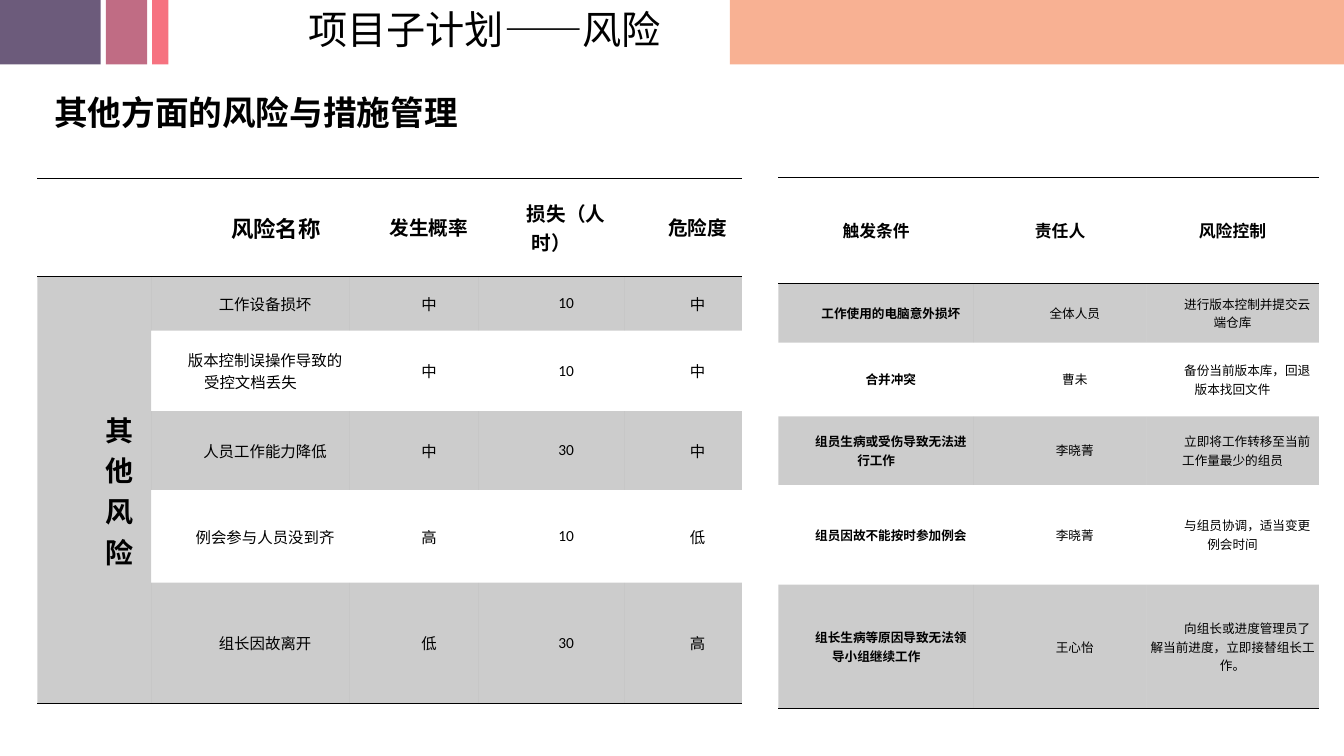
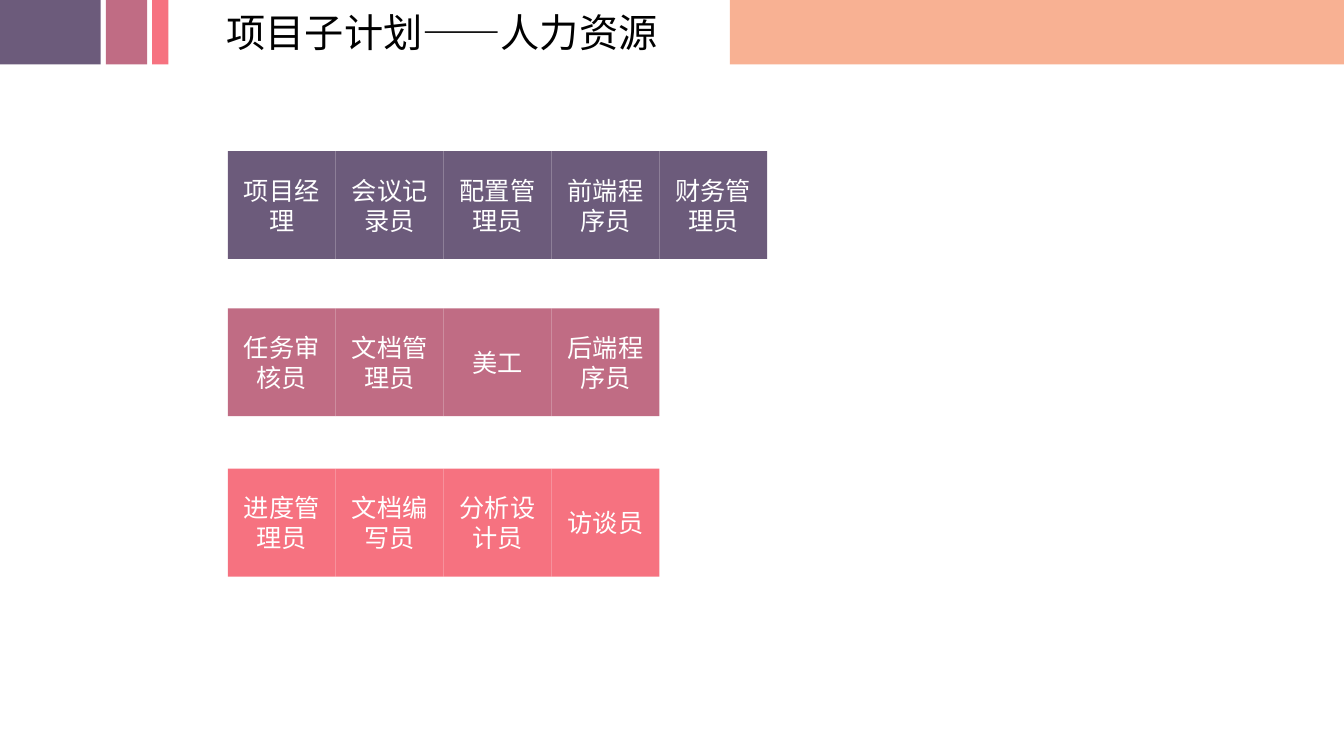
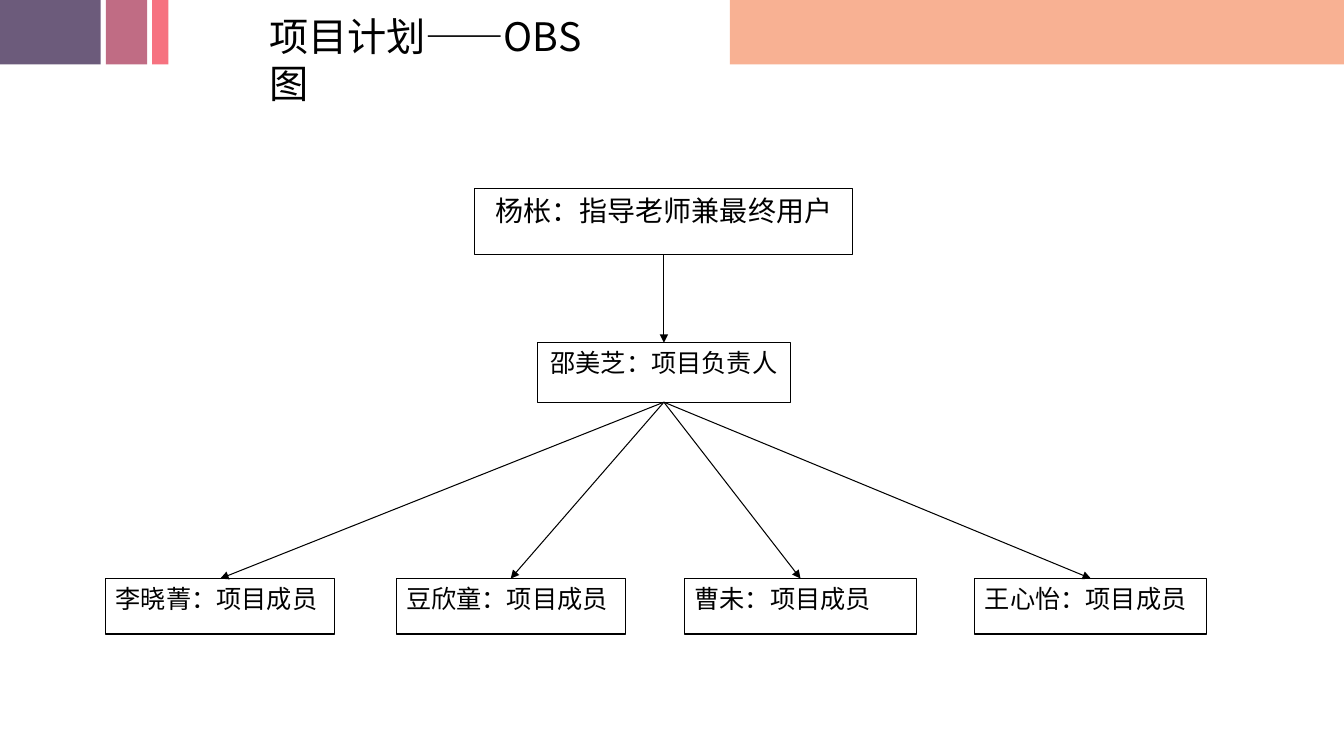
from lxml import etree
from pptx import Presentation
from pptx.dml.color import RGBColor
from pptx.enum.shapes import MSO_CONNECTOR, MSO_SHAPE
from pptx.enum.text import MSO_ANCHOR, PP_ALIGN
from pptx.oxml.ns import qn
from pptx.util import Inches, Pt

RECT = MSO_SHAPE.RECTANGLE
STRAIGHT = MSO_CONNECTOR.STRAIGHT
LEFT, CENTER = PP_ALIGN.LEFT, PP_ALIGN.CENTER
TOP, MIDDLE = MSO_ANCHOR.TOP, MSO_ANCHOR.MIDDLE
CJK, LATIN, SERIF = "Noto Sans CJK SC", "Calibri", "Times New Roman"
BLACK, WHITE = "000000", "FFFFFF"
PURPLE, MAUVE, CORAL, PEACH = "6C5B7B", "C06C84", "F67280", "F8B193"
BANDS = [(7.24, 6.09, PEACH), (0, 1, PURPLE), (1.05, 0.41, MAUVE), (1.51, 0.16, CORAL)]
NO_STYLE = "{2D5ABB26-0587-4C30-8999-92F81FD0307C}"


def rgb(color):
    return RGBColor.from_string(color)


def add_xml(parent, tag, **attrs):
    return etree.SubElement(parent, qn(tag), attrs)


class Deck:
    def __init__(self):
        self.prs = Presentation()
        self.prs.slide_width, self.prs.slide_height = Inches(13.33), Inches(7.5)
        self.s = None

    def slide(self, title, x, y, w, wrap=False):
        self.s = self.prs.slides.add_slide(self.prs.slide_layouts[6])
        for left, width, color in BANDS:
            self.box(left, 0, width, 0.64, color)
        self.text(title, x, y, w, 0.57, 28, wrap=wrap)

    def put(self, tf, text, size, font=CJK, color=BLACK, bold=False, align=LEFT, indent=0):
        for i, line in enumerate(text.split("\n")):
            p = tf.add_paragraph() if i else tf.paragraphs[0]
            p.alignment = align
            if indent:
                pPr = p._p.get_or_add_pPr()
                pPr.set("marL", "0")
                pPr.set("indent", str(Inches(indent)))
            r = p.add_run()
            r.text = line
            r.font.size, r.font.bold, r.font.name = Pt(size), bold, font
            r.font.color.rgb = rgb(color)
            add_xml(r._r.get_or_add_rPr(), "a:ea", typeface=CJK)

    def text(self, text, x, y, w, h, size, bold=False, wrap=True):
        tf = self.s.shapes.add_textbox(Inches(x), Inches(y), Inches(w), Inches(h)).text_frame
        tf.word_wrap = wrap
        self.put(tf, text, size, bold=bold)

    def box(self, x, y, w, h, fill, line=None, anchor=MIDDLE):
        sp = self.s.shapes.add_shape(RECT, Inches(x), Inches(y), Inches(w), Inches(h))
        sp.shadow.inherit = False
        sp.fill.solid()
        sp.fill.fore_color.rgb = rgb(fill)
        if line:
            sp.line.color.rgb = rgb(line)
            sp.line.width = Pt(0.75)
        else:
            sp.line.fill.background()
        sp.text_frame.word_wrap = True
        sp.text_frame.vertical_anchor = anchor
        return sp

    def role(self, text, x, y, side, fill):
        sp = self.box(x, y, side, side, fill)
        self.put(sp.text_frame, text, 18, color=WHITE, align=CENTER)

    def person(self, text, x, y, w, h, size=18, align=CENTER):
        sp = self.box(x, y, w, h, WHITE, BLACK, TOP)
        self.put(sp.text_frame, text, size, SERIF, align=align)
        return sp

    def arrow(self, upper, lower):
        c = self.s.shapes.add_connector(STRAIGHT, 0, 0, 0, 0)
        c.begin_connect(upper, 2)
        c.end_connect(lower, 0)
        c.line.color.rgb = rgb(BLACK)
        c.line.width = Pt(0.75)
        spPr = c._element.spPr
        add_xml(spPr.find(qn("a:ln")), "a:tailEnd", type="triangle")
        add_xml(spPr, "a:effectLst")

    def rule(self, cell, side):
        ln = add_xml(cell._tc.get_or_add_tcPr(), side, w=str(Pt(1)))
        add_xml(add_xml(ln, "a:solidFill"), "a:srgbClr", val=BLACK)

    def table(self, x, y, cols, heights, rows, inset, style, merge_first=False):
        frame = self.s.shapes.add_table(len(rows), len(cols), Inches(x), Inches(y),
                                        Inches(sum(cols)), Inches(sum(heights)))
        t = frame.table
        t.first_row = t.horz_banding = False
        t._tbl.tblPr.find(qn("a:tableStyleId")).text = NO_STYLE
        for col, width in zip(t.columns, cols):
            col.width = Inches(width)
        for row, height in zip(t.rows, heights):
            row.height = Inches(height)
        if merge_first:
            t.cell(1, 0).merge(t.cell(len(rows) - 1, 0))
        for i, row in enumerate(rows):
            for j, text in enumerate(row):
                cell = t.cell(i, j)
                cell.margin_left = cell.margin_right = Inches(inset)
                cell.margin_top = cell.margin_bottom = 0
                cell.vertical_anchor = MIDDLE
                if i == 0:
                    self.rule(cell, "a:lnT")
                if i in (0, len(rows) - 1) or cell.is_merge_origin:
                    self.rule(cell, "a:lnB")
                if i % 2:
                    cell.fill.solid()
                    cell.fill.fore_color.rgb = rgb(BLACK)
                    clr = cell._tc.tcPr.find(qn("a:solidFill"))[0]
                    add_xml(clr, "a:alpha", val="20000")
                else:
                    cell.fill.background()
                if text:
                    size, bold, indent = style(i, j)
                    self.put(cell.text_frame, text, size, LATIN, bold=bold,
                             align=CENTER, indent=indent)


def risk_style(i, j):
    if j == 0:
        return 20, True, 0.5
    if i == 0:
        return (16, True, 0.5) if j == 1 else (14, True, 0.29)
    return 11, False, 0.29


def response_style(i, j):
    return (12, True, 0) if i == 0 else (9, j == 0, 0.29)


def risks(d):
    d.slide("项目子计划——风险", 2.96, 0, 3.74)
    d.text("其他方面的风险与措施管理", 0.44, 0.86, 5.72, 0.5, 24, bold=True)
    d.table(0.37, 1.77, [1.13, 1.97, 1.28, 1.44, 1.17], [0.97, 0.54, 0.8, 0.78, 0.92, 1.2], [
        ["", "风险名称", "发生概率", "损失（人时）", "危险度"],
        ["其\n他\n风\n险", "工作设备损坏", "中", "10", "中"],
        ["", "版本控制误操作导致的受控文档丢失", "中", "10", "中"],
        ["", "人员工作能力降低", "中", "30", "中"],
        ["", "例会参与人员没到齐", "高", "10", "低"],
        ["", "组长因故离开", "低", "30", "高"],
    ], 0.07, risk_style, merge_first=True)
    d.table(7.72, 1.76, [1.94, 1.71, 1.71], [1.05, 0.59, 0.73, 0.68, 0.99, 1.23], [
        ["触发条件", "责任人", "风险控制"],
        ["工作使用的电脑意外损坏", "全体人员", "进行版本控制并提交云端仓库"],
        ["合并冲突", "曹未", "备份当前版本库，回退版本找回文件"],
        ["组员生病或受伤导致无法进行工作", "李晓菁", "立即将工作转移至当前工作量最少的组员"],
        ["组员因故不能按时参加例会", "李晓菁", "与组员协调，适当变更例会时间"],
        ["组长生病等原因导致无法领导小组继续工作", "王心怡",
         "向组长或进度管理员了解当前进度，立即接替组长工作。"],
    ], 0.04, response_style)


def staffing(d):
    d.slide("项目子计划——人力资源", 2.15, 0.03, 4.52)
    side = 1.07
    for y, fill, roles in [
        (1.5, PURPLE, ["项目经理", "会议记录员", "配置管理员", "前端程序员", "财务管理员"]),
        (3.06, MAUVE, ["任务审核员", "文档管理员", "美工", "后端程序员"]),
        (4.65, CORAL, ["进度管理员", "文档编写员", "分析设计员", "访谈员"]),
    ]:
        for i, role in enumerate(roles):
            d.role(role, 2.26 + i * side, y, side, fill)


def organisation(d):
    d.slide("项目计划——OBS图", 2.57, 0.07, 3.54, wrap=True)
    teacher = d.person("杨枨：指导老师兼最终用户", 4.71, 1.87, 3.75, 0.66, 20)
    leader = d.person("邵美芝：项目负责人", 5.33, 3.4, 2.51, 0.59)
    d.arrow(teacher, leader)
    for name, x, w in [("李晓菁", 1.05, 2.27), ("豆欣童", 3.93, 2.27),
                       ("曹未", 6.79, 2.3), ("王心怡", 9.67, 2.3)]:
        d.arrow(leader, d.person(name + "：项目成员", x, 5.74, w, 0.55, align=LEFT))


def main():
    d = Deck()
    risks(d)
    staffing(d)
    organisation(d)
    d.prs.save("out.pptx")


if __name__ == "__main__":
    main()
